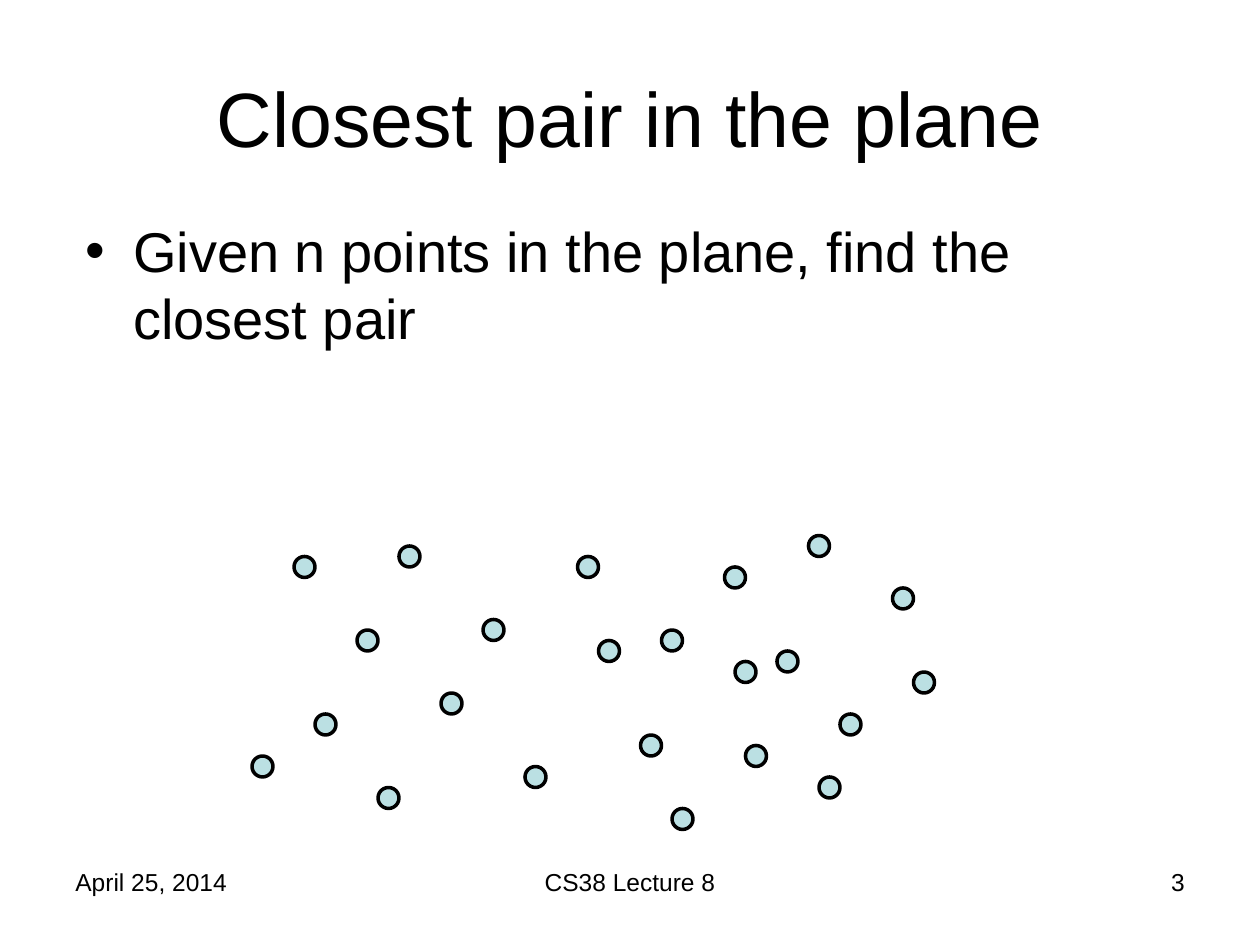
from pptx import Presentation
from pptx.dml.color import RGBColor
from pptx.enum.shapes import MSO_SHAPE
from pptx.enum.text import MSO_ANCHOR, PP_ALIGN
from pptx.oxml.ns import qn
from pptx.util import Pt
from lxml.etree import SubElement

FONT = "Arial"
BLACK, PALE_BLUE = "000000", "BBE0E3"
GRID = 6  # points per grid unit of the scatter

# Left and top of each dot, in grid units from the corner of the scatter
POINTS = [
    (10, 9), (22, 8), (18, 15), (37, 19), (26, 22), (12, 24), (14, 1), (31, 2),
    (33, 10), (39, 9), (45, 3), (47, 20), (46, 12), (40, 26), (53, 0), (61, 5),
    (50, 11), (54, 23), (56, 17), (63, 13), (4, 2), (6, 17), (0, 21),
]


def color(hex_string):
    return RGBColor.from_string(hex_string)


def add_text(p, text, size):
    r = p.add_run()
    r.text = text
    r.font.name = FONT
    r.font.size = Pt(size)
    r.font.color.rgb = color(BLACK)


def add_box(s, left, top, width, height):
    tf = s.shapes.add_textbox(Pt(left), Pt(top), Pt(width), Pt(height)).text_frame
    tf.word_wrap = True
    return tf


def add_title(s, left, top, width, height):
    title = s.shapes.title
    title.left, title.top = Pt(left), Pt(top)
    title.width, title.height = Pt(width), Pt(height)
    tf = title.text_frame
    tf.vertical_anchor = MSO_ANCHOR.MIDDLE
    p = tf.paragraphs[0]
    p.alignment = PP_ALIGN.CENTER
    add_text(p, "Closest pair in the plane", 44)


def add_bullet_text(s, left, top, width, height):
    p = add_box(s, left, top, width, height).paragraphs[0]
    pPr = p._p.get_or_add_pPr()
    pPr.set("marL", str(Pt(27)))
    pPr.set("indent", str(-Pt(27)))
    SubElement(pPr, qn("a:buFont"), typeface=FONT)
    SubElement(pPr, qn("a:buChar"), char="•")
    add_text(p, "Given n points in the plane, find the closest pair", 32)


def add_scatter(s, left, top):
    for x, y in POINTS:
        dot = s.shapes.add_shape(
            MSO_SHAPE.OVAL, Pt(left + x * GRID), Pt(top + y * GRID),
            Pt(2 * GRID), Pt(2 * GRID))
        dot.shadow.inherit = False
        dot.fill.solid()
        dot.fill.fore_color.rgb = color(PALE_BLUE)
        dot.line.color.rgb = color(BLACK)
        dot.line.width = Pt(2)


def add_footer(s, left, top, width, height):
    side, middle = 168, 228
    parts = [
        ("April 25, 2014", left, side, PP_ALIGN.LEFT),
        ("CS38 Lecture 8", left + (width - middle) / 2, middle, PP_ALIGN.CENTER),
        ("3", left + width - side, side, PP_ALIGN.RIGHT),
    ]
    for text, x, w, alignment in parts:
        p = add_box(s, x, top, w, height).paragraphs[0]
        p.alignment = alignment
        add_text(p, text, 14)


def main():
    prs = Presentation()
    prs.slide_width, prs.slide_height = Pt(720), Pt(540)
    s = prs.slides.add_slide(prs.slide_layouts[5])
    add_title(s, 36, 21.6, 648, 90)
    add_bullet_text(s, 42, 120, 648, 356)
    add_footer(s, 36, 492, 648, 37.5)
    add_scatter(s, 144, 306)
    prs.save("out.pptx")


if __name__ == "__main__":
    main()
